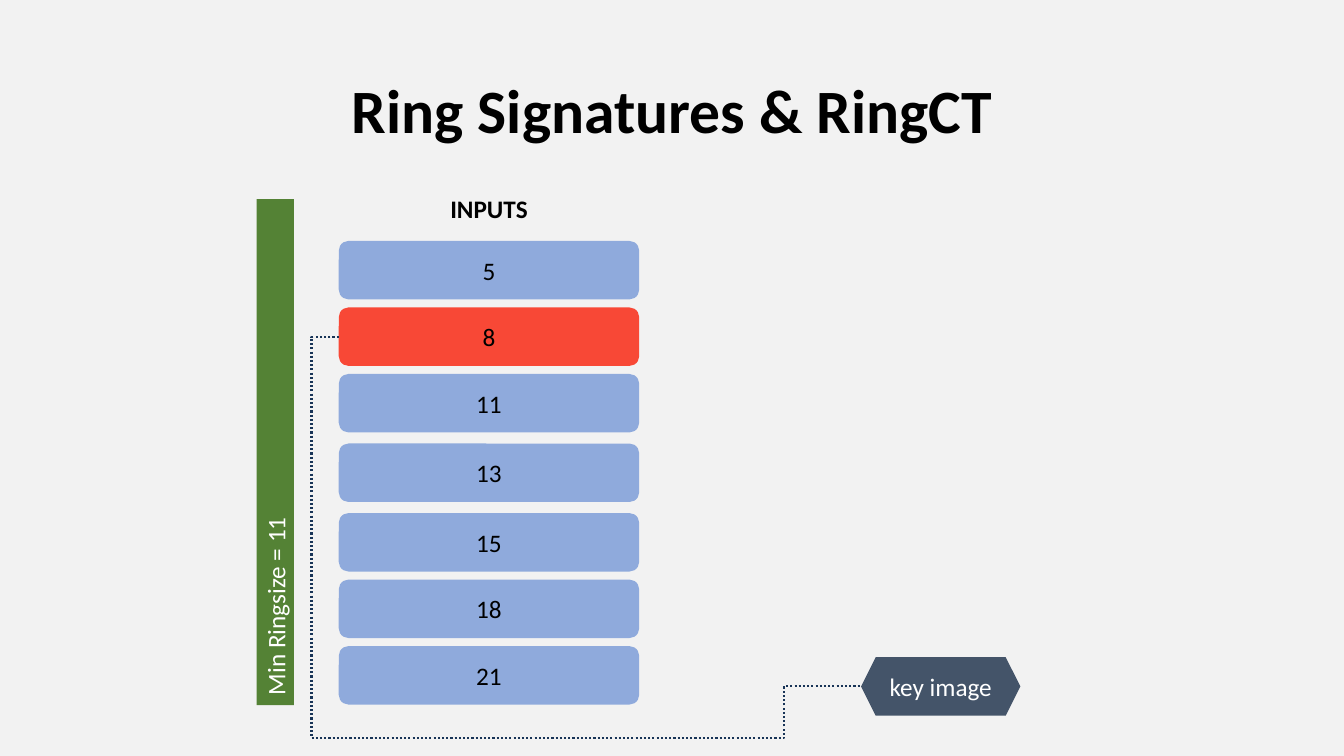
from lxml.etree import SubElement
from pptx import Presentation
from pptx.dml.color import RGBColor
from pptx.enum.dml import MSO_LINE
from pptx.enum.shapes import MSO_CONNECTOR, MSO_SHAPE
from pptx.enum.text import MSO_ANCHOR, PP_ALIGN
from pptx.oxml.ns import qn
from pptx.util import Inches, Pt

TITLE = "Ring Signatures & RingCT"
HEADING = "INPUTS"
RING_SIZE = "Min Ringsize = 11"
KEY_IMAGE = "key image"
INPUTS = [("5", 2.39), ("8", 3.05), ("11", 3.71), ("13", 4.4),
          ("15", 5.09), ("18", 5.75), ("21", 6.41)]  # label, top
REAL_INPUT = "8"

COLORS = {
    "background": "F2F2F2",
    "dark": "000000",
    "light": "FFFFFF",
    "decoy": "8FAADC",
    "real": "F84836",
    "ring size": "548235",
    "key image": "445469",
    "link": "183457",
}
FONT = "Calibri"
INPUT_LEFT, INPUT_WIDTH, ROW_HEIGHT = 3.36, 2.98, 0.58
KEY_LEFT, KEY_TOP, KEY_WIDTH = 8.54, 6.52, 1.58
LINK_LEFT, LINK_BOTTOM = 3.09, 7.32


def color(name):
    return RGBColor.from_string(COLORS[name])


def write(frame, text, ink="dark", size=18, bold=False, align=PP_ALIGN.CENTER):
    frame.text = text
    paragraph = frame.paragraphs[0]
    paragraph.alignment = align
    font = paragraph.font
    font.name, font.size, font.bold = FONT, Pt(size), bold
    font.color.rgb = color(ink)
    return paragraph


def add_block(slide, preset, box, fill, text, ink="dark", align=PP_ALIGN.CENTER):
    block = slide.shapes.add_shape(preset, *map(Inches, box))
    block.shadow.inherit = False
    block.fill.solid()
    block.fill.fore_color.rgb = color(fill)
    block.line.fill.background()
    block.text_frame.vertical_anchor = MSO_ANCHOR.MIDDLE
    write(block.text_frame, text, ink, align=align)
    return block


def add_link(slide, start, end, preset, bend=None):
    """Add a dotted elbow; bend is the share of its width before the turn."""
    link = slide.shapes.add_connector(MSO_CONNECTOR.ELBOW, *map(Inches, start + end))
    link.line.color.rgb = color("link")
    link.line.width = Pt(1.5)
    link.line.dash_style = MSO_LINE.ROUND_DOT
    properties = link._element.spPr
    SubElement(properties, qn("a:effectLst"))
    geometry = properties.find(qn("a:prstGeom"))
    geometry.set("prst", preset)
    if bend is not None:
        guides = geometry.find(qn("a:avLst"))
        if guides is None:
            guides = SubElement(geometry, qn("a:avLst"))
        SubElement(guides, qn("a:gd"), name="adj1", fmla=f"val {round(bend * 100000)}")


def main():
    deck = Presentation()
    deck.slide_width, deck.slide_height = Inches(13.33), Inches(7.5)
    slide = deck.slides.add_slide(deck.slide_layouts[5])
    slide.background.fill.solid()
    slide.background.fill.fore_color.rgb = color("background")

    title = slide.shapes.title
    title.left, title.top = Inches(0.92), Inches(0.4)
    title.width, title.height = Inches(11.5), Inches(1.45)
    title.text_frame.vertical_anchor = MSO_ANCHOR.MIDDLE
    write(title.text_frame, TITLE, size=44, bold=True).line_spacing = 0.9

    ring_size = add_block(slide, MSO_SHAPE.RECTANGLE, (0.22, 4.3, 5.02, 0.37),
                          "ring size", RING_SIZE, "light", PP_ALIGN.LEFT)
    ring_size.rotation = 270

    heading = slide.shapes.add_textbox(*map(Inches, (4.36, 1.87, 0.98, 0.4)))
    heading.text_frame.word_wrap = False
    write(heading.text_frame, HEADING, bold=True)

    for label, top in INPUTS:
        add_block(slide, MSO_SHAPE.ROUNDED_RECTANGLE,
                  (INPUT_LEFT, top, INPUT_WIDTH, ROW_HEIGHT),
                  "real" if label == REAL_INPUT else "decoy", label)
    add_block(slide, MSO_SHAPE.HEXAGON, (KEY_LEFT, KEY_TOP, KEY_WIDTH, ROW_HEIGHT),
              "key image", KEY_IMAGE, "light")

    real_middle = dict(INPUTS)[REAL_INPUT] + ROW_HEIGHT / 2
    corner = (LINK_LEFT, LINK_BOTTOM)
    add_link(slide, (INPUT_LEFT, real_middle), corner, "bentConnector2")
    add_link(slide, corner, (KEY_LEFT, KEY_TOP + ROW_HEIGHT / 2), "bentConnector3", 0.86)

    deck.save("out.pptx")


if __name__ == "__main__":
    main()
